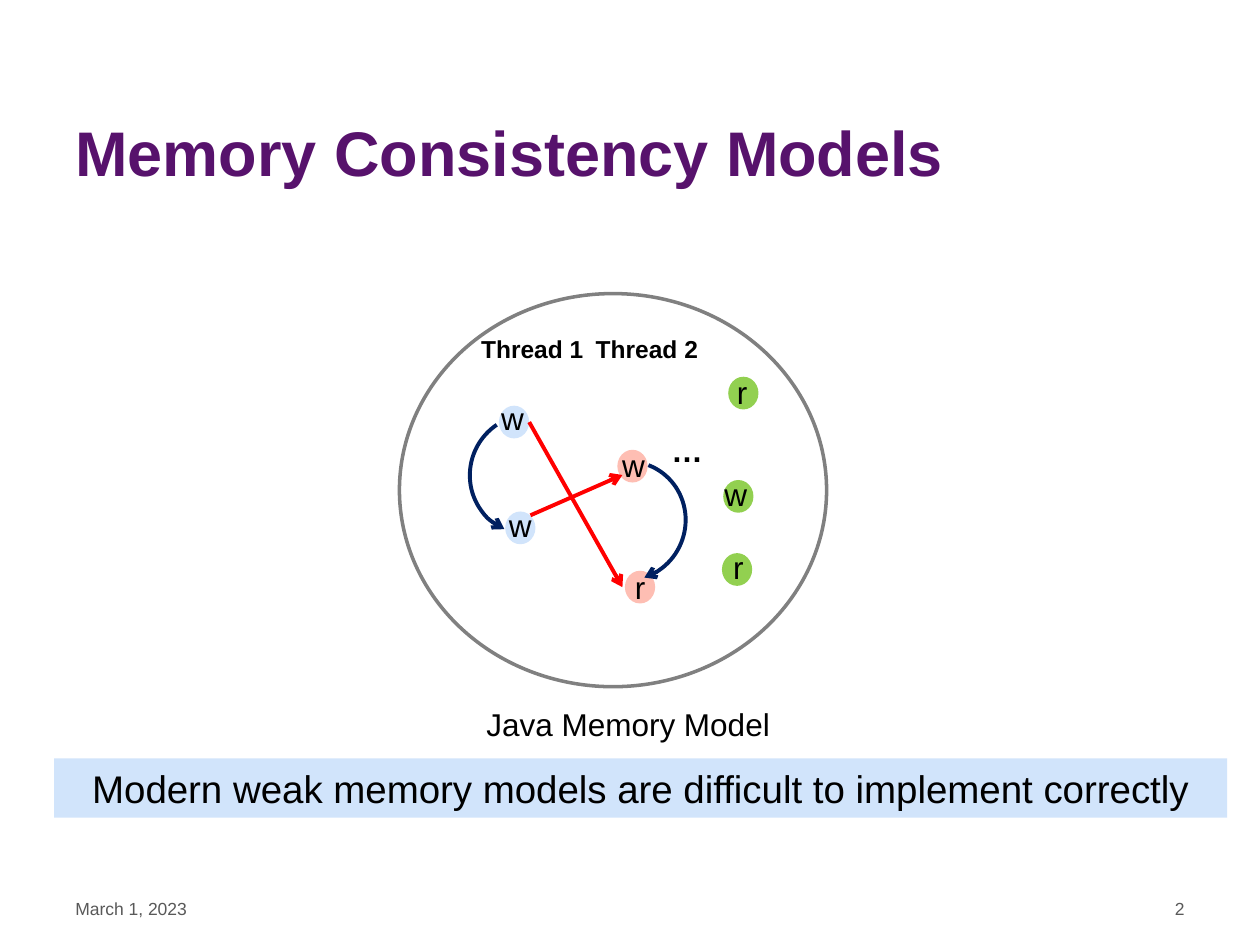
from pptx import Presentation
from pptx.dml.color import RGBColor
from pptx.enum.shapes import MSO_CONNECTOR, MSO_SHAPE
from pptx.enum.text import MSO_ANCHOR, PP_ALIGN
from pptx.oxml.ns import qn
from pptx.util import Inches, Pt
from lxml.etree import SubElement

THEME = {
    "font": "Arial",
    "title": (36, "57126C", True),
    "foot": (10, "595959", False),
    "head": (14, "000000", True),
    "dots": (18, "000000", True),
    "body": (18, "000000", False),
    "bar": (22, "000000", False),
    "blue": "D1E4FB", "pink": "FEBEB3", "green": "92D050",
    "gray": "808080", "navy": "002060", "red": "FF0000",
}
LEFT, MID, RIGHT = PP_ALIGN.LEFT, PP_ALIGN.CENTER, PP_ALIGN.RIGHT

TITLE = ("Memory Consistency Models", (0.5, 0.13, 8.25, 1.42), "title", LEFT)
TEXTS = [
    ("March 1, 2023", (0.5, 7.08, 2.33, 0.39), "foot", LEFT),
    ("2", (7.17, 7.08, 2.33, 0.39), "foot", RIGHT),
    ("Thread 1", (3.72, 2.6, 1.14, 0.34), "head", LEFT),
    ("Thread 2", (4.63, 2.6, 1.14, 0.34), "head", LEFT),
    ("…", (5.23, 3.37, 1.14, 0.4), "dots", LEFT),
    ("Java Memory Model", (3.72, 5.55, 2.53, 0.4), "body", MID),
]
BAR = ("Modern weak memory models are difficult to implement correctly",
       (0.43, 6.02, 9.31, 0.47), "bar", MID)
RING = (3.17, 2.33, 3.39, 3.12)
DOT = (0.24, 0.26)
TAG = (0.47, 0.4)
NODES = [
    ("w", "blue", (3.96, 3.22), (3.88, 3.12)),
    ("w", "blue", (4.01, 4.06), (3.94, 3.97)),
    ("w", "pink", (4.9, 3.57), (4.84, 3.49)),
    ("r", "pink", (4.96, 4.53), (4.94, 4.46)),
    ("r", "green", (5.78, 2.99), (5.75, 2.91)),
    ("w", "green", (5.74, 3.81), (5.65, 3.72)),
    ("r", "green", (5.73, 4.39), (5.72, 4.3)),
]
ARCS = [
    ((3.73, 3.29, 0.93, 0.95), 203.9, (162, 20.05), "headEnd"),
    ((4.51, 3.66, 0.93, 0.95), 26.1, (159.07, 28.03), "tailEnd"),
]
LINKS = [(4.21, 4.09, 4.94, 3.77), (4.2, 3.35, 4.94, 4.66)]


def tint(name):
    return RGBColor.from_string(THEME.get(name, name))


def inch(box):
    return [Inches(n) for n in box]


def write(shape, text, style, align):
    size, color, bold = THEME[style]
    frame = shape.text_frame
    frame.word_wrap = True
    frame.text = text
    para = frame.paragraphs[0]
    para.alignment = align
    font = para.runs[0].font
    font.name, font.size, font.bold = THEME["font"], Pt(size), bold
    font.color.rgb = tint(color)


def label(text, box, style, align):
    shape = slide.shapes.add_textbox(*inch(box))
    write(shape, text, style, align)
    return shape


def form(kind, box, fill=None, line=None, width=2):
    shape = slide.shapes.add_shape(kind, *inch(box))
    shape.shadow.inherit = False
    if fill:
        shape.fill.solid()
        shape.fill.fore_color.rgb = tint(fill)
    else:
        shape.fill.background()
    if line:
        stroke(shape, line, width)
    else:
        shape.line.fill.background()
    return shape


def stroke(shape, color, width):
    shape.line.color.rgb = tint(color)
    shape.line.width = Pt(width)


def arrow(shape, end):
    line = shape.element.spPr.find(qn("a:ln"))
    SubElement(line, qn("a:" + end)).set("type", "arrow")


deck = Presentation()
deck.slide_width, deck.slide_height = Inches(10), Inches(7.5)
slide = deck.slides.add_slide(deck.slide_layouts[6])

label(*TITLE).text_frame.vertical_anchor = MSO_ANCHOR.BOTTOM
for _, color, spot, _ in NODES:
    form(MSO_SHAPE.OVAL, spot + DOT, color)
for item in TEXTS:
    label(*item)
form(MSO_SHAPE.OVAL, RING, line="gray")

for box, turn, span, end in ARCS:
    arc = form(MSO_SHAPE.ARC, box, line="navy", width=2.25)
    arc.rotation = turn
    for i, value in enumerate(span):
        arc.adjustments[i] = value
    arrow(arc, end)

for ends in LINKS:
    link = slide.shapes.add_connector(MSO_CONNECTOR.STRAIGHT, *inch(ends))
    stroke(link, "red", 2.25)
    arrow(link, "tailEnd")
    SubElement(link.element.spPr, qn("a:effectLst"))

for text, _, _, spot in NODES:
    label(text, spot + TAG, "body", LEFT)

text, box, style, align = BAR
write(form(MSO_SHAPE.RECTANGLE, box, "blue"), text, style, align)

deck.save("out.pptx")
